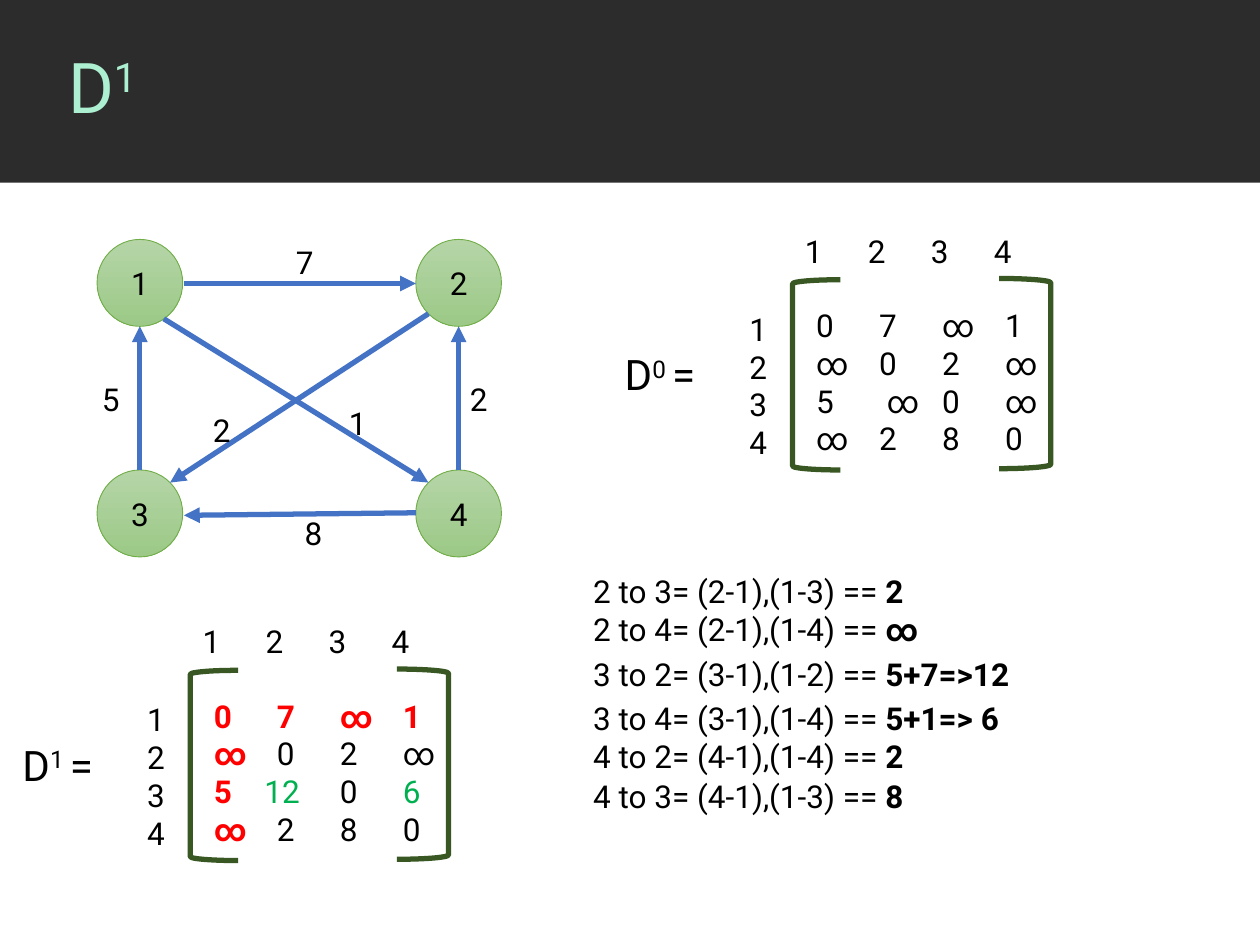
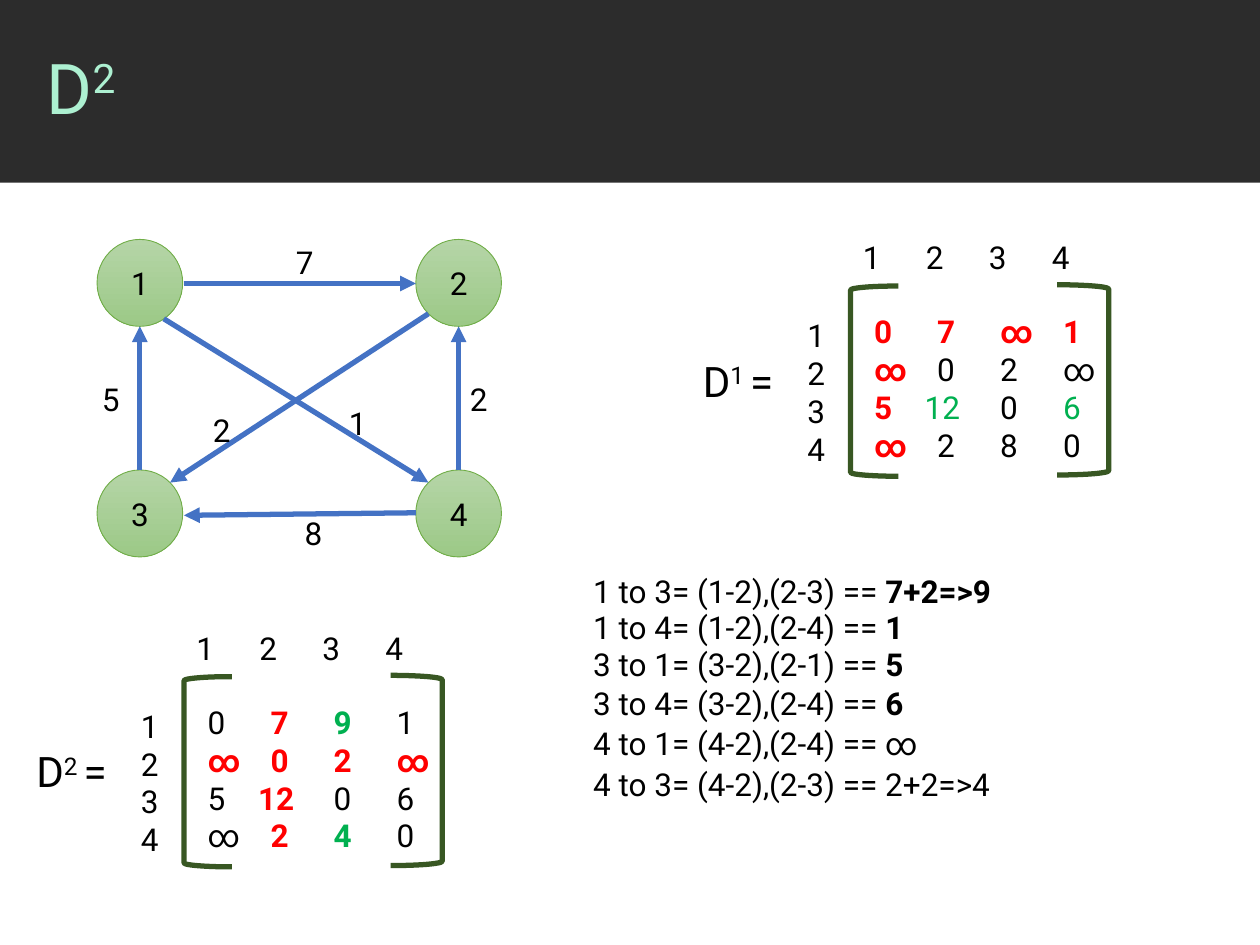
from lxml.etree import SubElement
from pptx import Presentation
from pptx.dml.color import RGBColor
from pptx.enum.shapes import MSO_CONNECTOR, MSO_SHAPE
from pptx.enum.text import MSO_ANCHOR, MSO_AUTO_SIZE, PP_ALIGN
from pptx.oxml.ns import qn
from pptx.util import Inches, Pt

BAND = RGBColor(0x2C, 0x2C, 0x2C)
MINT = RGBColor(0xAD, 0xF0, 0xD1)
BLACK = RGBColor(0, 0, 0)
RED = RGBColor(0xFF, 0, 0)
GREEN = RGBColor(0, 0xB0, 0x50)
NODE_TOP = RGBColor(0xB5, 0xD5, 0xA7)
NODE_BOTTOM = RGBColor(0x9C, 0xC9, 0x87)
NODE_LINE = RGBColor(0x70, 0xAD, 0x47)
EDGE = RGBColor(0x44, 0x72, 0xC4)
BRACKET = RGBColor(0x38, 0x57, 0x23)

BASE = {"name": "Roboto", "size": Pt(18), "bold": False}
CELL_STYLES = {
    "": (BLACK, False),
    "r": (RED, True),
    "g": (GREEN, False),
    "G": (GREEN, True),
}

NODES = {"1": (0.77, 1.9), "2": (3.3, 1.9), "3": (0.77, 3.73), "4": (3.3, 3.73)}
EDGES = [
    (1.3, 2.53, 3.4, 3.83),
    (3.4, 2.49, 1.35, 3.83),
    (1.46, 2.25, 3.3, 2.25),
    (3.3, 4.07, 1.46, 4.09),
    (1.11, 3.73, 1.11, 2.59),
    (3.64, 3.73, 3.64, 2.59),
]
WEIGHTS = [
    ("5", 0.71, 2.97),
    ("2", 3.63, 2.97),
    ("2", 1.59, 3.21),
    ("8", 2.32, 4.03),
    ("1", 2.67, 3.16),
    ("7", 2.25, 1.88),
]

D0 = ("0", ["0 7 ∞ 1", "∞ 0 2 ∞", "5 ∞ 0 ∞", "∞ 2 8 0"], 0.56)
D1 = ("1", ["0r 7r ∞r 1r", "∞r 0 2 ∞", "5r 12g 0 6g", "∞r 2 8 0"], 0.4)
D2 = ("2", ["0 7r 9G 1", "∞r 0r 2r ∞r", "5 12r 0 6", "∞ 2r 4G 0"], 0.4)

SLIDES = [
    {
        "title": ("1", 0.44, 0),
        "name_gap": 1.43,
        "matrices": [(D0, 6.29, 2.22), (D1, 1.51, 5.32)],
        "paths": [
            (4.49, "2 to 3= (2-1),(1-3) == ", "2", True),
            (4.79, "2 to 4= (2-1),(1-4) == ", "∞", True),
            (5.15, "3 to 2= (3-1),(1-2) == ", "5+7=>12", True),
            (5.5, "3 to 4= (3-1),(1-4) == ", "5+1=> 6", True),
            (5.8, "4 to 2= (4-1),(1-4) == ", "2", True),
            (6.12, "4 to 3= (4-1),(1-3) == ", "8", True),
        ],
    },
    {
        "title": ("2", 0.27, 0.01),
        "name_gap": 1.27,
        "matrices": [(D1, 6.75, 2.27), (D2, 1.46, 5.37)],
        "paths": [
            (4.49, "1 to 3= (1-2),(2-3) == ", "7+2=>9", True),
            (4.78, "1 to 4= (1-2),(2-4) == ", "1", True),
            (5.07, "3 to 1= (3-2),(2-1) == ", "5", True),
            (5.38, "3 to 4= (3-2),(2-4) == ", "6", True),
            (5.7, "4 to 1= (4-2),(2-4) == ", "∞", False),
            (6.02, "4 to 3= (4-2),(2-3) == ", "2+2=>4", False),
        ],
    },
]


class Deck:
    """Holds the shared style and the current slide of the graph deck."""

    def __init__(self):
        self.prs = Presentation()
        self.prs.slide_width = Inches(10)
        self.prs.slide_height = Inches(7.5)
        self.layout = self.prs.slide_layouts[5]
        self.s = None

    def add_slide(self):
        """Start a slide, putting the band on the layout the first time."""
        self.s = self.prs.slides.add_slide(self.layout)
        if len(self.prs.slides) == 1:
            band = self.shape(MSO_SHAPE.RECTANGLE, 0, 0, 10, 1.45)
            band.fill.solid()
            band.fill.fore_color.rgb = BAND
            band.line.fill.background()
            band.element.xpath(".//p:cNvPr")[0].set("id", "20")
            self.layout.shapes.element.insert(2, band.element)

    def shape(self, kind, x, y, w, h):
        """Add a preset shape without a shadow."""
        sp = self.s.shapes.add_shape(kind, Inches(x), Inches(y), Inches(w), Inches(h))
        sp.shadow.inherit = False
        return sp

    def run(self, p, text, color=BLACK, raised=False, **changes):
        """Add a run in the base style with some changes."""
        r = p.add_run()
        r.text = text
        for name, value in {**BASE, **changes}.items():
            setattr(r.font, name, value)
        r.font.color.rgb = color
        if raised:
            r._r.get_or_add_rPr().set("baseline", "30000")

    def box(self, x, y, w, h):
        """Add a wrapping text box and return its text frame."""
        sp = self.s.shapes.add_textbox(Inches(x), Inches(y), Inches(w), Inches(h))
        tf = sp.text_frame
        tf.word_wrap = True
        tf.auto_size = MSO_AUTO_SIZE.SHAPE_TO_FIT_TEXT
        return tf

    def label(self, text, x, y, w=0.35):
        """Add a one-line label."""
        self.run(self.box(x, y, w, 0.4).paragraphs[0], text)

    def title(self, power, x, y):
        """Fill and place the title placeholder."""
        sp = self.s.shapes.title
        place = {"left": x, "top": y, "width": 9.56, "height": 1.44}
        for name, value in place.items():
            setattr(sp, name, Inches(value))
        sp.text_frame.vertical_anchor = MSO_ANCHOR.MIDDLE
        p = sp.text_frame.paragraphs[0]
        p.alignment = PP_ALIGN.LEFT
        p.line_spacing = 0.9
        self.run(p, "D", MINT, size=Pt(40))
        self.run(p, power, MINT, raised=True, size=Pt(40))

    def node(self, text, x, y):
        """Add a graph node."""
        sp = self.shape(MSO_SHAPE.OVAL, x, y, 0.68, 0.69)
        sp.fill.gradient()
        sp.fill.gradient_angle = 270
        for stop, color in zip(sp.fill.gradient_stops, (NODE_TOP, NODE_BOTTOM)):
            stop.color.rgb = color
        sp.line.color.rgb = NODE_LINE
        sp.line.width = Pt(0.5)
        sp.text_frame.vertical_anchor = MSO_ANCHOR.MIDDLE
        p = sp.text_frame.paragraphs[0]
        p.alignment = PP_ALIGN.CENTER
        self.run(p, text)

    def edge(self, *ends):
        """Add an arrow between two points."""
        cxn = self.s.shapes.add_connector(MSO_CONNECTOR.STRAIGHT, *map(Inches, ends))
        cxn.line.color.rgb = EDGE
        cxn.line.width = Pt(3)
        sp_pr = cxn.element.spPr
        SubElement(sp_pr.find(qn("a:ln")), qn("a:tailEnd"), type="triangle")
        SubElement(sp_pr, qn("a:effectLst"))

    def graph(self):
        """Draw the weighted graph."""
        for text, (x, y) in NODES.items():
            self.node(text, x, y)
        for ends in EDGES:
            self.edge(*ends)
        for weight in WEIGHTS:
            self.label(*weight)

    def row(self, p, cells, stops):
        """Fill a paragraph with tab-separated, styled cells."""
        tabs = SubElement(p._p.get_or_add_pPr(), qn("a:tabLst"))
        for stop in stops:
            SubElement(tabs, qn("a:tab"), pos=str(Inches(stop)), algn="l")
        for i, cell in enumerate(cells):
            text = cell.rstrip("rgG")
            color, bold = CELL_STYLES[cell[len(text):]]
            self.run(p, "\t" * (i > 0) + text, color, bold=bold)

    def lines(self, tf, count):
        """Yield the given number of paragraphs of a text frame."""
        for i in range(count):
            yield tf.add_paragraph() if i else tf.paragraphs[0]

    def matrix(self, data, x, y, name_gap):
        """Draw a bracketed distance matrix with its headings and name."""
        power, rows, third_row_stop = data
        brackets = [
            (MSO_SHAPE.LEFT_BRACKET, x, y, 0.38),
            (MSO_SHAPE.RIGHT_BRACKET, x + 1.64, y - 0.01, 0.41),
        ]
        for kind, left, top, width in brackets:
            sp = self.shape(kind, left, top, width, 1.51)
            sp.fill.background()
            sp.line.color.rgb = BRACKET
            sp.line.width = Pt(3)
        body = self.box(x + 0.09, y + 0.16, 2.1, 1.31)
        for i, p in enumerate(self.lines(body, len(rows))):
            self.row(p, rows[i].split(), (third_row_stop if i == 2 else 0.5, 1, 1.5))
        header = self.box(x, y - 0.43, 2.08, 0.4)
        self.row(header.paragraphs[0], NODES, (0.5, 1, 1.5))
        side = self.box(x - 0.44, y + 0.19, 0.43, 1.31)
        for text, p in zip(NODES, self.lines(side, len(NODES))):
            self.run(p, text)
        p = self.box(x - name_gap, y + 0.5, 0.92, 0.5).paragraphs[0]
        self.run(p, "D", size=Pt(24))
        self.run(p, power + " ", raised=True, size=Pt(24))
        self.run(p, "=", size=Pt(24))

    def path_line(self, y, text, result, bold):
        """Add one path computation."""
        p = self.box(4.61, y, 5.04, 0.4).paragraphs[0]
        self.run(p, text)
        self.run(p, result, bold=bold)


def main():
    """Build the slides and save them."""
    deck = Deck()
    for content in SLIDES:
        deck.add_slide()
        deck.title(*content["title"])
        deck.graph()
        for data, x, y in content["matrices"]:
            deck.matrix(data, x, y, content["name_gap"])
        for line in content["paths"]:
            deck.path_line(*line)
    deck.prs.save("out.pptx")


if __name__ == "__main__":
    main()
